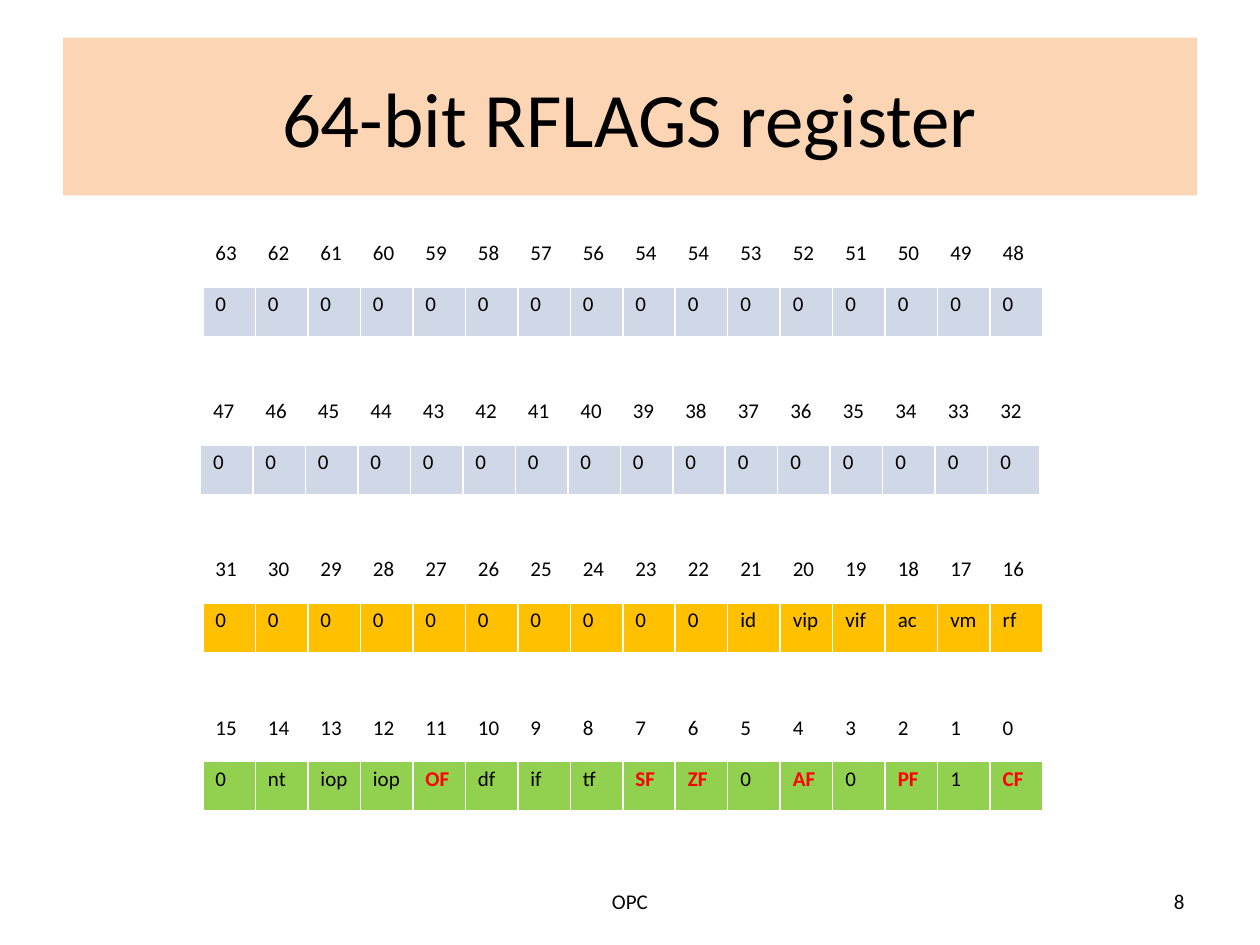
from dataclasses import dataclass

from lxml import etree
from pptx import Presentation
from pptx.dml.color import RGBColor
from pptx.enum.text import MSO_ANCHOR, PP_ALIGN
from pptx.oxml.ns import qn
from pptx.util import Cm, Pt

MIDDLE = MSO_ANCHOR.MIDDLE
CENTER, RIGHT = PP_ALIGN.CENTER, PP_ALIGN.RIGHT

BLACK = RGBColor(0x00, 0x00, 0x00)
WHITE = RGBColor(0xFF, 0xFF, 0xFF)
RED = RGBColor(0xFF, 0x00, 0x00)
PEACH = RGBColor(0xFC, 0xD5, 0xB5)
BLUE = RGBColor(0xD0, 0xD8, 0xE8)
AMBER = RGBColor(0xFF, 0xC0, 0x00)
GREEN = RGBColor(0x92, 0xD0, 0x50)

COLS = 16
LEFT, TOP, PITCH = 4.09, 4.72, 3.19
WIDTH, ROW = 16.94, 1.03
SMALL = {"name": "Calibri", "size": Pt(12), "bold": False}
LARGE = {"name": "Calibri", "size": Pt(44), "bold": False}


@dataclass
class Strip:
    slot: int
    heads: list[int]
    cells: list[str]
    fill: RGBColor
    left: float = LEFT


@dataclass
class Note:
    text: str
    left: float
    width: float
    align: PP_ALIGN


ZEROS = ["0"] * COLS
STRIPS = [
    Strip(0, [*range(63, 55, -1), 54, *range(54, 47, -1)], ZEROS, BLUE),
    Strip(3, [*range(15, -1, -1)],
          "0 nt iop iop OF df if tf SF ZF 0 AF 0 PF 1 CF".split(), GREEN),
    Strip(2, [*range(31, 15, -1)],
          ["0"] * 10 + "id vip vif ac vm rf".split(), AMBER),
    Strip(1, [*range(47, 31, -1)], ZEROS, BLUE, LEFT - 0.05),
]
NOTES = [
    Note("OPC", 8.68, 8.04, CENTER),
    Note("8", 18.2, 5.93, RIGHT),
]


def write(frame, text: str, form: dict, color: RGBColor = BLACK, align=None) -> None:
    para = frame.paragraphs[0]
    para.alignment = align
    run = para.add_run()
    run.text = text
    for key, value in form.items():
        setattr(run.font, key, value)
    run.font.color.rgb = color


def edge(cell, base: float) -> None:
    props = cell._tc.get_or_add_tcPr()
    for side, width in {"L": 1, "R": 1, "T": 1, "B": base}.items():
        line = etree.SubElement(props, qn(f"a:ln{side}"), w=str(Pt(width)))
        fill = etree.SubElement(line, qn("a:solidFill"))
        etree.SubElement(fill, qn("a:srgbClr"), val=str(WHITE))


def paint(cell, text: str, fill: RGBColor, base: float) -> None:
    edge(cell, base)
    cell.fill.solid()
    cell.fill.fore_color.rgb = fill
    caps = text.isupper()
    write(cell.text_frame, text, SMALL | {"bold": caps}, RED if caps else BLACK)


def draw_strip(slide, strip: Strip) -> None:
    top = TOP + strip.slot * PITCH
    table = slide.shapes.add_table(2, COLS, Cm(strip.left), Cm(top),
                                   Cm(WIDTH), Cm(2 * ROW)).table
    table.first_row = table.horz_banding = False
    for col, (head, text) in enumerate(zip(strip.heads, strip.cells)):
        paint(table.cell(0, col), str(head), WHITE, 3)
        paint(table.cell(1, col), text, strip.fill, 1)


def draw_note(slide, note: Note) -> None:
    box = slide.shapes.add_textbox(Cm(note.left), Cm(17.65), Cm(note.width), Cm(1.02))
    frame = box.text_frame
    frame.word_wrap = True
    frame.vertical_anchor = MIDDLE
    write(frame, note.text, SMALL, align=note.align)


def main() -> None:
    deck = Presentation()
    deck.slide_width, deck.slide_height = Cm(25.4), Cm(19.05)
    slide = deck.slides.add_slide(deck.slide_layouts[5])

    # Title
    title = slide.shapes.title
    place = {"left": 1.27, "top": 0.76, "width": 22.86, "height": 3.18}
    for key, value in place.items():
        setattr(title, key, Cm(value))
    title.fill.solid()
    title.fill.fore_color.rgb = PEACH
    title.text_frame.vertical_anchor = MIDDLE
    write(title.text_frame, "64-bit RFLAGS register", LARGE, align=CENTER)

    # Footer
    for note in NOTES:
        draw_note(slide, note)

    # Tables
    for strip in STRIPS:
        draw_strip(slide, strip)

    deck.save("out.pptx")


if __name__ == "__main__":
    main()
